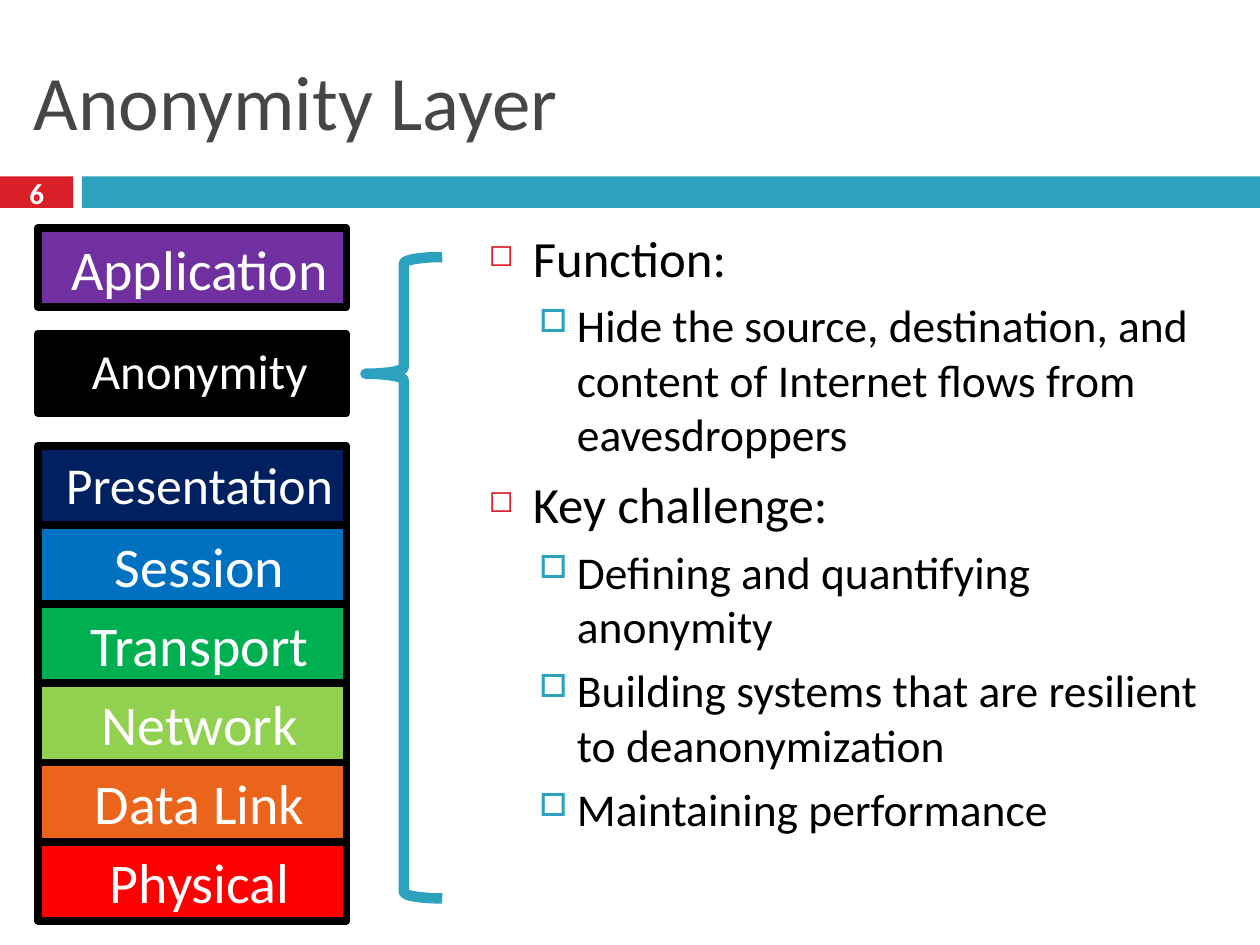
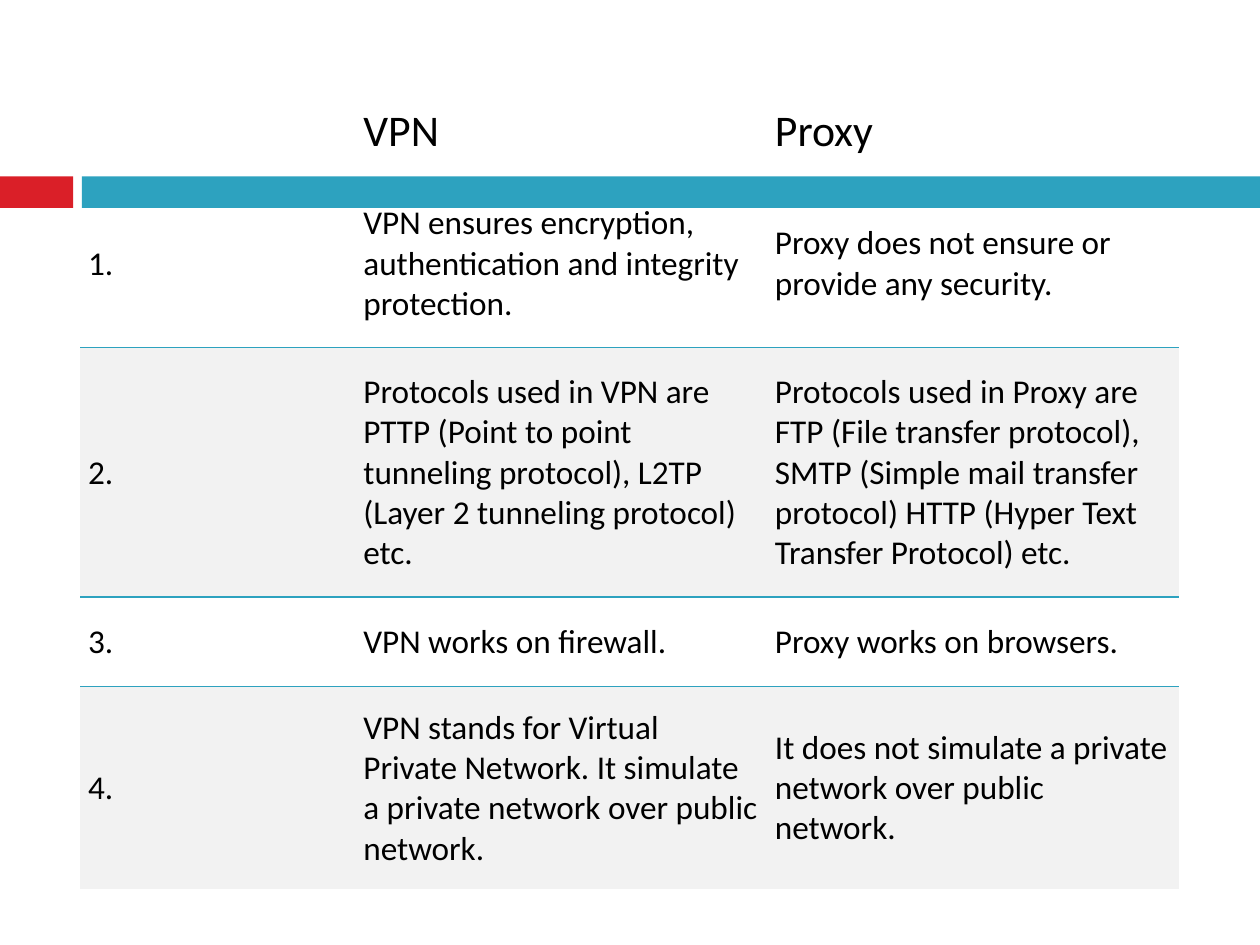
from lxml import etree
from pptx import Presentation
from pptx.dml.color import RGBColor
from pptx.enum import shapes, text
from pptx.oxml import ns
from pptx.util import Pt

FONT = "Calibri"
RED, TEAL, GRAY, PALE = "DA1F28", "2DA2BF", "464646", "F2F2F2"
BLACK, WHITE = "000000", "FFFFFF"
NO_STYLE = "{2D5ABB26-0587-4C30-8999-92F81FD0307C}"
CENTER, LEFT = text.PP_ALIGN.CENTER, text.PP_ALIGN.LEFT
TOP, MIDDLE, BOTTOM = (text.MSO_ANCHOR.TOP, text.MSO_ANCHOR.MIDDLE,
                       text.MSO_ANCHOR.BOTTOM)
BOX_X, BOX_W, BOX_H = 21.6, 176.4, 45.2
LAYERS = [
    ("Application", "7030A0", 130.3, 32),
    ("Anonymity", BLACK, 190.8, 28),
]
STACK_TOP = 254.9
STACK = [
    ("Presentation", "002060", 29.6),
    ("Session", "0070C0", 32),
    ("Transport", "00B050", 32),
    ("Network", "92D050", 32),
    ("Data Link", "EB641B", 32),
    ("Physical", "FF0000", 32),
]
LEVELS = [
    {"size": 29, "before": 7, "left": 25.2, "hang": 25.2,
     "char": "◻", "color": RED, "scale": 60},
    {"size": 26, "before": 5.5, "left": 50.4, "hang": 21.6,
     "char": "□", "color": TEAL, "scale": 70},
]
POINTS = [
    (0, "Function:"),
    (1, "Hide the source, destination, and content of Internet flows from "
        "eavesdroppers"),
    (0, "Key challenge:"),
    (1, "Defining and quantifying anonymity"),
    (1, "Building systems that are resilient to deanonymization"),
    (1, "Maintaining performance"),
]
COLUMNS = [157.4, 235.2, 235.2]
ROWS = [51.8, 96.5, 142.5, 51.1, 115.9]
COMPARISON = [
    ("", "VPN", "Proxy"),
    ("1.", "VPN ensures encryption, authentication and integrity protection.",
     "Proxy does not ensure or provide any security."),
    ("2.", "Protocols used in VPN are PTTP (Point to point tunneling "
           "protocol), L2TP (Layer 2 tunneling protocol) etc.",
     "Protocols used in Proxy are FTP (File transfer protocol), SMTP (Simple "
     "mail transfer protocol) HTTP (Hyper Text Transfer Protocol) etc."),
    ("3.", "VPN works on firewall.", "Proxy works on browsers."),
    ("4.", "VPN stands for Virtual Private Network. It simulate a private "
           "network over public network.",
     "It does not simulate a private network over public network."),
]


def rgb(value):
    """Turn a hex string into a colour."""
    return RGBColor.from_string(value)


def assign(target, **values):
    """Set several attributes of one object."""
    for name, value in values.items():
        setattr(target, name, value)


def place(sp, x, y, w, h):
    """Move and size a shape, in points."""
    assign(sp, left=Pt(x), top=Pt(y), width=Pt(w), height=Pt(h))


def write(p, words, size, color=BLACK, align=LEFT, bold=False):
    """Put one formatted run into a paragraph."""
    p.alignment = align
    r = p.add_run()
    r.text = words
    assign(r.font, name=FONT, size=Pt(size), bold=bold)
    r.font.color.rgb = rgb(color)


def add_shape(s, kind, x, y, w, h, fill=None, line=None, weight=0):
    """Add a preset shape without shadow."""
    sp = s.shapes.add_shape(kind, Pt(x), Pt(y), Pt(w), Pt(h))
    sp.shadow.inherit = False
    if fill:
        sp.fill.solid()
        sp.fill.fore_color.rgb = rgb(fill)
    else:
        sp.fill.background()
    if line:
        sp.line.color.rgb = rgb(line)
        sp.line.width = Pt(weight)
    else:
        sp.line.fill.background()
    return sp


def add_rect(s, *args, **style):
    """Add a rectangle."""
    return add_shape(s, shapes.MSO_SHAPE.RECTANGLE, *args, **style)


def add_textbox(s, x, y, w, h, anchor=TOP):
    """Add a wrapping text box and return its frame."""
    tf = s.shapes.add_textbox(Pt(x), Pt(y), Pt(w), Pt(h)).text_frame
    assign(tf, word_wrap=True, vertical_anchor=anchor)
    return tf


def add_bands(s):
    """Draw the red and teal bands shared by the slides."""
    add_rect(s, 0, 100.8, 41.8, 18, fill=RED)
    add_rect(s, 46.8, 100.8, 673.2, 18, fill=TEAL)


def set_title(s, words):
    """Place and write the slide title."""
    sp = s.shapes.title
    place(sp, 12.2, 18, 696.2, 77.8)
    sp.text_frame.vertical_anchor = MIDDLE
    write(sp.text_frame.paragraphs[0], words, 44, GRAY)


def add_number(s, number):
    """Write the slide number on the red band."""
    tf = add_textbox(s, 0, 98.6, 41.8, 23.8, MIDDLE)
    write(tf.paragraphs[0], number, 16.6, WHITE, CENTER, True)


def add_layer(s, name, fill, y, size):
    """Add one box of the network stack."""
    sp = add_rect(s, BOX_X, y, BOX_W, BOX_H, fill=fill, line=BLACK, weight=4.5)
    tf = sp.text_frame
    tf.vertical_anchor = TOP
    p = tf.paragraphs[0]
    p._p.get_or_add_pPr().set("marL", str(Pt(8.6)))
    write(p, name, size, WHITE, CENTER)


def add_brace(s):
    """Add the brace that ties the anonymity layer to its points."""
    sp = add_shape(s, shapes.MSO_SHAPE.LEFT_BRACE, 208.8, 146.9, 43.9, 366.5,
                   line=TEAL, weight=6)
    for i, value in enumerate((0.083, 0.182)):
        sp.adjustments[i] = value


def set_bullet(p, level):
    """Give a paragraph its indent and coloured bullet."""
    pPr = p._p.get_or_add_pPr()
    pPr.set("marL", str(Pt(level["left"])))
    pPr.set("indent", str(-Pt(level["hang"])))
    color = etree.SubElement(pPr, ns.qn("a:buClr"))
    etree.SubElement(color, ns.qn("a:srgbClr"), val=level["color"])
    etree.SubElement(pPr, ns.qn("a:buSzPct"), val=str(level["scale"] * 1000))
    etree.SubElement(pPr, ns.qn("a:buChar"), char=level["char"])


def add_points(s, points):
    """Write the two-level bullet list."""
    tf = add_textbox(s, 272.2, 126, 436.3, 401.8)
    for i, (depth, words) in enumerate(points):
        p = tf.add_paragraph() if i else tf.paragraphs[0]
        level = LEVELS[depth]
        assign(p, level=depth, space_before=Pt(level["before"]))
        set_bullet(p, level)
        write(p, words, level["size"])


def add_top_border(cell):
    """Draw a thin teal line above a cell."""
    ln = etree.Element(ns.qn("a:lnT"), w=str(Pt(1)))
    fill = etree.SubElement(ln, ns.qn("a:solidFill"))
    etree.SubElement(fill, ns.qn("a:srgbClr"), val=TEAL)
    cell._tc.get_or_add_tcPr().insert(0, ln)


def format_cell(cell, words, row):
    """Write a cell and style it by its row."""
    header = row == 0
    assign(cell, vertical_anchor=BOTTOM if header else MIDDLE,
           margin_left=Pt(4.5), margin_right=Pt(4.5),
           margin_top=Pt(5 if header else 12), margin_bottom=Pt(11.5))
    if words:
        write(cell.text_frame.paragraphs[0], words, 25 if header else 19)
    if row and row % 2 == 0:
        cell.fill.solid()
        cell.fill.fore_color.rgb = rgb(PALE)
        add_top_border(cell)
    else:
        cell.fill.background()


def add_comparison(s, rows):
    """Add the comparison table."""
    frame = s.shapes.add_table(len(rows), len(COLUMNS), Pt(45.8), Pt(50.4),
                               Pt(sum(COLUMNS)), Pt(sum(ROWS)))
    table = frame.table
    assign(table, first_row=False, horz_banding=False)
    next(frame.element.iter(ns.qn("a:tableStyleId"))).text = NO_STYLE
    for column, width in zip(table.columns, COLUMNS):
        column.width = Pt(width)
    for i, (height, row) in enumerate(zip(ROWS, rows)):
        table.rows[i].height = Pt(height)
        for j, words in enumerate(row):
            format_cell(table.cell(i, j), words, i)


def main():
    """Build and save both slides."""
    prs = Presentation()
    assign(prs, slide_width=Pt(720), slide_height=Pt(540))

    s = prs.slides.add_slide(prs.slide_layouts[5])
    add_bands(s)
    set_title(s, "Anonymity Layer")
    add_number(s, "6")
    add_points(s, POINTS)
    for layer in LAYERS:
        add_layer(s, *layer)
    for i, (name, fill, size) in enumerate(STACK):
        add_layer(s, name, fill, STACK_TOP + i * BOX_H, size)
    add_brace(s)

    s = prs.slides.add_slide(prs.slide_layouts[6])
    add_bands(s)
    add_comparison(s, COMPARISON)

    prs.save("out.pptx")


if __name__ == "__main__":
    main()
